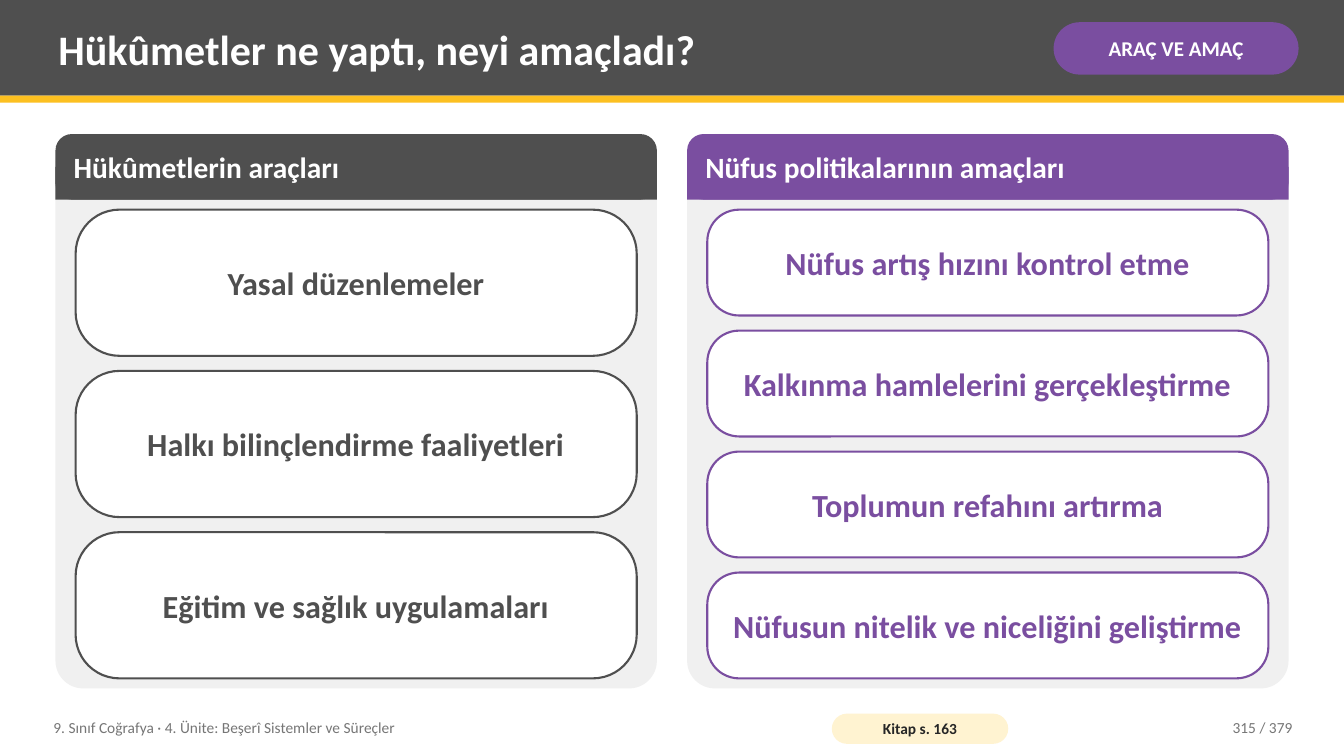
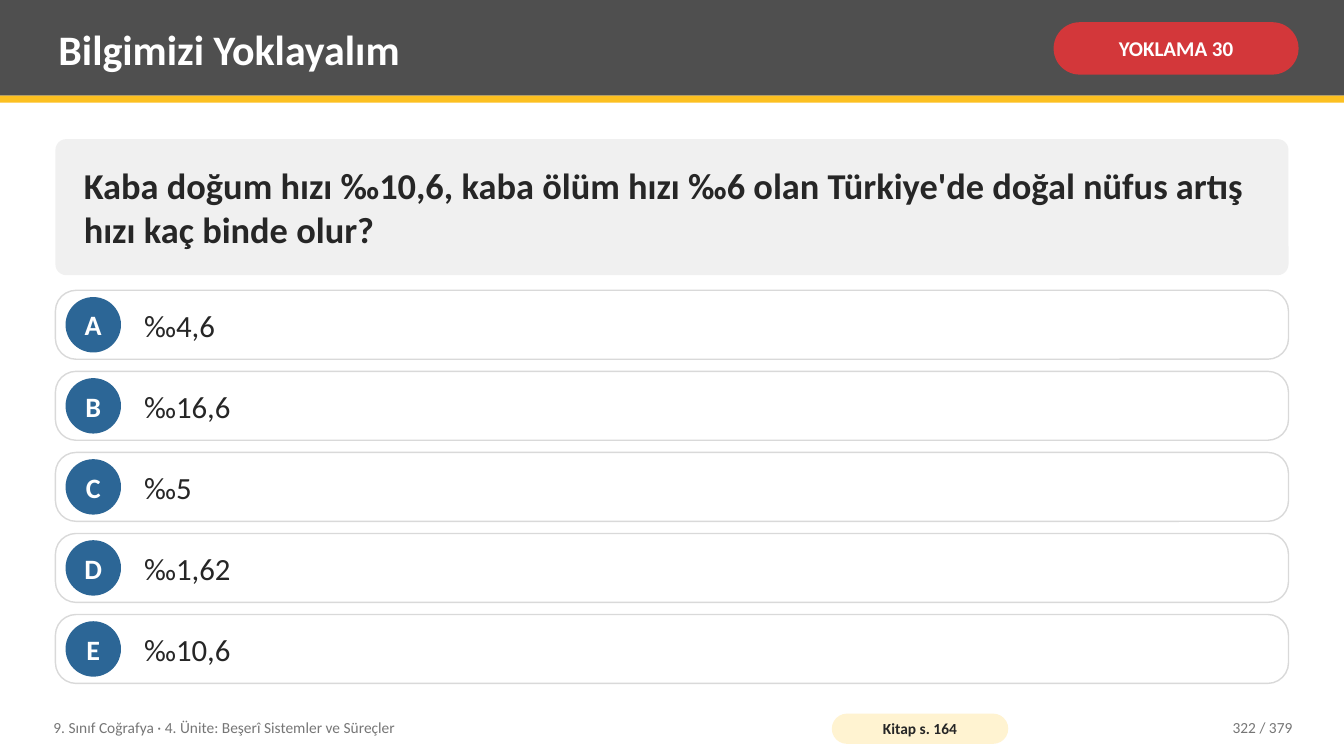
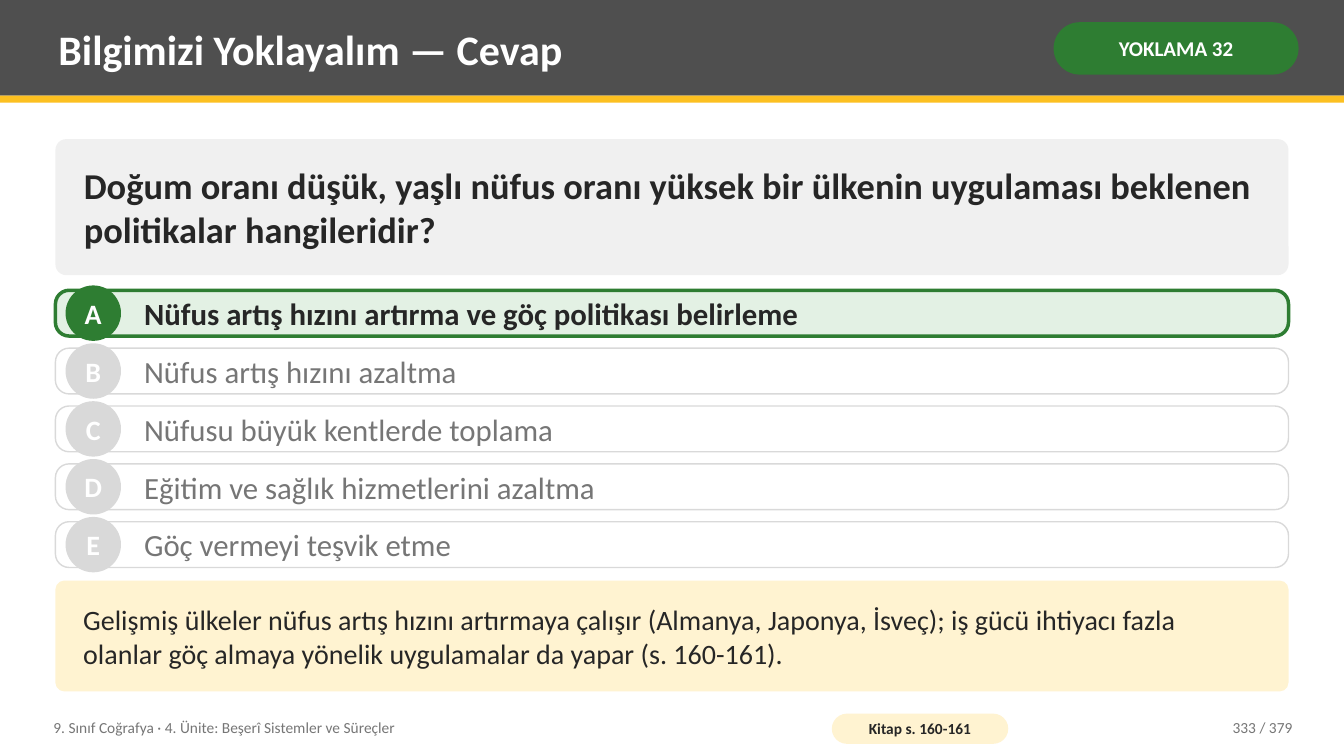
from dataclasses import dataclass

from pptx import Presentation
from pptx.dml.color import RGBColor
from pptx.enum.shapes import MSO_SHAPE
from pptx.enum.text import MSO_ANCHOR, MSO_AUTO_SIZE, PP_ALIGN
from pptx.util import Inches, Pt

RECT, ROUND, OVAL = MSO_SHAPE.RECTANGLE, MSO_SHAPE.ROUNDED_RECTANGLE, MSO_SHAPE.OVAL
LEFT, CENTER, RIGHT = PP_ALIGN.LEFT, PP_ALIGN.CENTER, PP_ALIGN.RIGHT
MIDDLE, NO_FIT = MSO_ANCHOR.MIDDLE, MSO_AUTO_SIZE.NONE
TITLE_ONLY = 5


@dataclass(frozen=True)
class Theme:
    font: str = "Calibri"
    slate: str = "4F4F4F"
    gold: str = "FCC021"
    cream: str = "FFF3D1"
    panel: str = "F0F0F0"
    border: str = "D9D9D9"
    white: str = "FFFFFF"
    ink: str = "262626"
    muted: str = "767676"
    purple: str = "7A4EA0"
    red: str = "D3373A"
    green: str = "2E7D32"
    mint: str = "E3F1E4"
    blue: str = "2C6696"
    title: int = 30
    question: int = 26
    card: int = 23
    option: int = 22
    heading: int = 21
    body: int = 20
    tag: int = 15
    footer: int = 11


THEME = Theme()
WIDTH, HEIGHT = 13.33, 7.5
MARGIN, CONTENT = 0.55, 12.23
COLUMN_GAP = 0.3
COLUMN = (CONTENT - COLUMN_GAP) / 2
BAND = 0.95
OPTIONS_TOP = 2.88
BADGE = 0.55
TEXT_INSETS = (0.08, 0.04)
PANEL_INSETS = (0.25, 0.08)
UNIT = "9. Sınıf Coğrafya · 4. Ünite: Beşerî Sistemler ve Süreçler"
PAGE_COUNT = 379


def write(shape, text, size, color, bold=False, align=LEFT, insets=TEXT_INSETS, wrap=True):
    frame = shape.text_frame
    across, down = (Inches(inset) for inset in insets)
    frame_format = {
        "margin_left": across, "margin_right": across,
        "margin_top": down, "margin_bottom": down,
        "word_wrap": wrap, "auto_size": NO_FIT, "vertical_anchor": MIDDLE,
    }
    for name, value in frame_format.items():
        setattr(frame, name, value)
    para = frame.paragraphs[0]
    para.alignment = align
    span = para.add_run()
    span.text = text
    for name, value in {"name": THEME.font, "size": Pt(size), "bold": bold}.items():
        setattr(span.font, name, value)
    span.font.color.rgb = RGBColor.from_string(color)


def add_box(page, kind, at, fill, radius=None, line=None, line_width=1):
    box = page.shapes.add_shape(kind, *map(Inches, at))
    box.shadow.inherit = False
    box.fill.solid()
    box.fill.fore_color.rgb = RGBColor.from_string(fill)
    if radius is not None:
        box.adjustments[0] = radius
    if line:
        box.line.color.rgb = RGBColor.from_string(line)
        box.line.width = Pt(line_width)
    else:
        box.line.fill.background()
    return box


def add_label(page, at, text, size, color, **text_format):
    write(page.shapes.add_textbox(*map(Inches, at)), text, size, color, **text_format)


def stack(top, bottom, count, gap):
    height = (bottom - top - gap * (count - 1)) / count
    return [(top + index * (height + gap), height) for index in range(count)]


def add_page(deck, title, tag, tag_color, source, number):
    page = deck.slides.add_slide(deck.slide_layouts[TITLE_ONLY])
    add_box(page, RECT, (0, 0, WIDTH, BAND), THEME.slate)
    add_box(page, RECT, (0, BAND, WIDTH, 0.07), THEME.gold)

    heading = page.shapes.title
    page.shapes.element.append(heading.element)
    place = dict(zip(("left", "top", "width", "height"), (0.5, 0.07, 9.75, 0.82)))
    for name, value in place.items():
        setattr(heading, name, Inches(value))
    write(heading, title, THEME.title, THEME.white, bold=True)

    pill = add_box(page, ROUND, (10.45, 0.22, 2.43, 0.52), tag_color, 0.5)
    write(pill, tag, THEME.tag, THEME.white, bold=True, align=CENTER, insets=(0.05, 0.02))

    add_label(page, (0.45, 7.04, 7.6, 0.36), UNIT, THEME.footer, THEME.muted)
    pill = add_box(page, ROUND, (8.25, 7.08, 1.75, 0.3), THEME.cream, 0.5)
    write(pill, f"Kitap s. {source}", THEME.footer, THEME.ink, bold=True, align=CENTER,
          insets=(0.04, 0))
    add_label(page, (11.3, 7.04, 1.6, 0.36), f"{number} / {PAGE_COUNT}",
              THEME.footer, THEME.muted, align=RIGHT)
    return page


def add_column(page, index, heading, color, cards):
    left = MARGIN + index * (COLUMN + COLUMN_GAP)
    top, height, header = 1.33, 5.5, 0.65
    add_box(page, ROUND, (left, top, COLUMN, height), THEME.panel, 0.05)
    add_box(page, ROUND, (left, top, COLUMN, header), color, 0.25)
    add_box(page, RECT, (left, top + header / 2, COLUMN, header / 2), color)
    add_label(page, (left + 0.1, top, COLUMN - 0.2, header), heading,
              THEME.heading, THEME.white, bold=True)
    rows = stack(top + header + 0.1, top + height - 0.1, len(cards), 0.15)
    for text, (row_top, row_height) in zip(cards, rows):
        card = add_box(page, ROUND, (left + 0.2, row_top, COLUMN - 0.4, row_height),
                       THEME.white, 0.3, color, 1.5)
        write(card, text, THEME.card, color, bold=True, align=CENTER, insets=(0.06, 0.02))


def add_panel(page, top, height, fill, text, size, bold=False):
    panel = add_box(page, ROUND, (MARGIN, top, CONTENT, height), fill, 0.08)
    write(panel, text, size, THEME.ink, bold=bold, insets=PANEL_INSETS)


def add_option(page, top, height, letter, text, badge_color, text_color, correct=False):
    fill, line, weight = ((THEME.mint, THEME.green, 2.5) if correct
                          else (THEME.white, THEME.border, 1))
    add_box(page, ROUND, (MARGIN, top, CONTENT, height), fill, 0.3, line, weight)
    badge = add_box(page, OVAL, (MARGIN + 0.1, top + (height - BADGE) / 2, BADGE, BADGE),
                    badge_color)
    write(badge, letter, THEME.body, THEME.white, bold=True, align=CENTER,
          insets=(0, 0), wrap=False)
    add_label(page, (MARGIN + 0.8, top, CONTENT - 1, height), text,
              THEME.option, text_color, bold=correct)


def add_quiz(page, question, options, bottom, answer=None):
    add_panel(page, 1.38, 1.35, THEME.panel, question, THEME.question, bold=True)
    rows = stack(OPTIONS_TOP, bottom, len(options), 0.12)
    for letter, text, (top, height) in zip("ABCDE", options, rows):
        correct = letter == answer
        if answer is None:
            colors = THEME.blue, THEME.ink
        elif correct:
            colors = THEME.green, THEME.ink
        else:
            colors = THEME.border, THEME.muted
        add_option(page, top, height, letter, text, *colors, correct=correct)


def main():
    deck = Presentation()
    deck.slide_width, deck.slide_height = Inches(WIDTH), Inches(HEIGHT)

    page = add_page(deck, "Hükûmetler ne yaptı, neyi amaçladı?", "ARAÇ VE AMAÇ",
                    THEME.purple, "163", 315)
    add_column(page, 0, "Hükûmetlerin araçları", THEME.slate, [
        "Yasal düzenlemeler",
        "Halkı bilinçlendirme faaliyetleri",
        "Eğitim ve sağlık uygulamaları",
    ])
    add_column(page, 1, "Nüfus politikalarının amaçları", THEME.purple, [
        "Nüfus artış hızını kontrol etme",
        "Kalkınma hamlelerini gerçekleştirme",
        "Toplumun refahını artırma",
        "Nüfusun nitelik ve niceliğini geliştirme",
    ])

    page = add_page(deck, "Bilgimizi Yoklayalım", "YOKLAMA 30", THEME.red, "164", 322)
    add_quiz(
        page,
        "Kaba doğum hızı ‰10,6, kaba ölüm hızı ‰6 olan Türkiye'de doğal nüfus artış "
        "hızı kaç binde olur?",
        ["‰4,6", "‰16,6", "‰5", "‰1,62", "‰10,6"],
        bottom=6.78,
    )

    page = add_page(deck, "Bilgimizi Yoklayalım — Cevap", "YOKLAMA 32", THEME.green,
                    "160-161", 333)
    add_quiz(
        page,
        "Doğum oranı düşük, yaşlı nüfus oranı yüksek bir ülkenin uygulaması beklenen "
        "politikalar hangileridir?",
        [
            "Nüfus artış hızını artırma ve göç politikası belirleme",
            "Nüfus artış hızını azaltma",
            "Nüfusu büyük kentlerde toplama",
            "Eğitim ve sağlık hizmetlerini azaltma",
            "Göç vermeyi teşvik etme",
        ],
        bottom=5.63,
        answer="A",
    )
    add_panel(
        page, 5.76, 1.1, THEME.cream,
        "Gelişmiş ülkeler nüfus artış hızını artırmaya çalışır (Almanya, Japonya, İsveç); "
        "iş gücü ihtiyacı fazla olanlar göç almaya yönelik uygulamalar da yapar "
        "(s. 160-161).",
        THEME.body,
    )

    deck.save("out.pptx")


if __name__ == "__main__":
    main()
